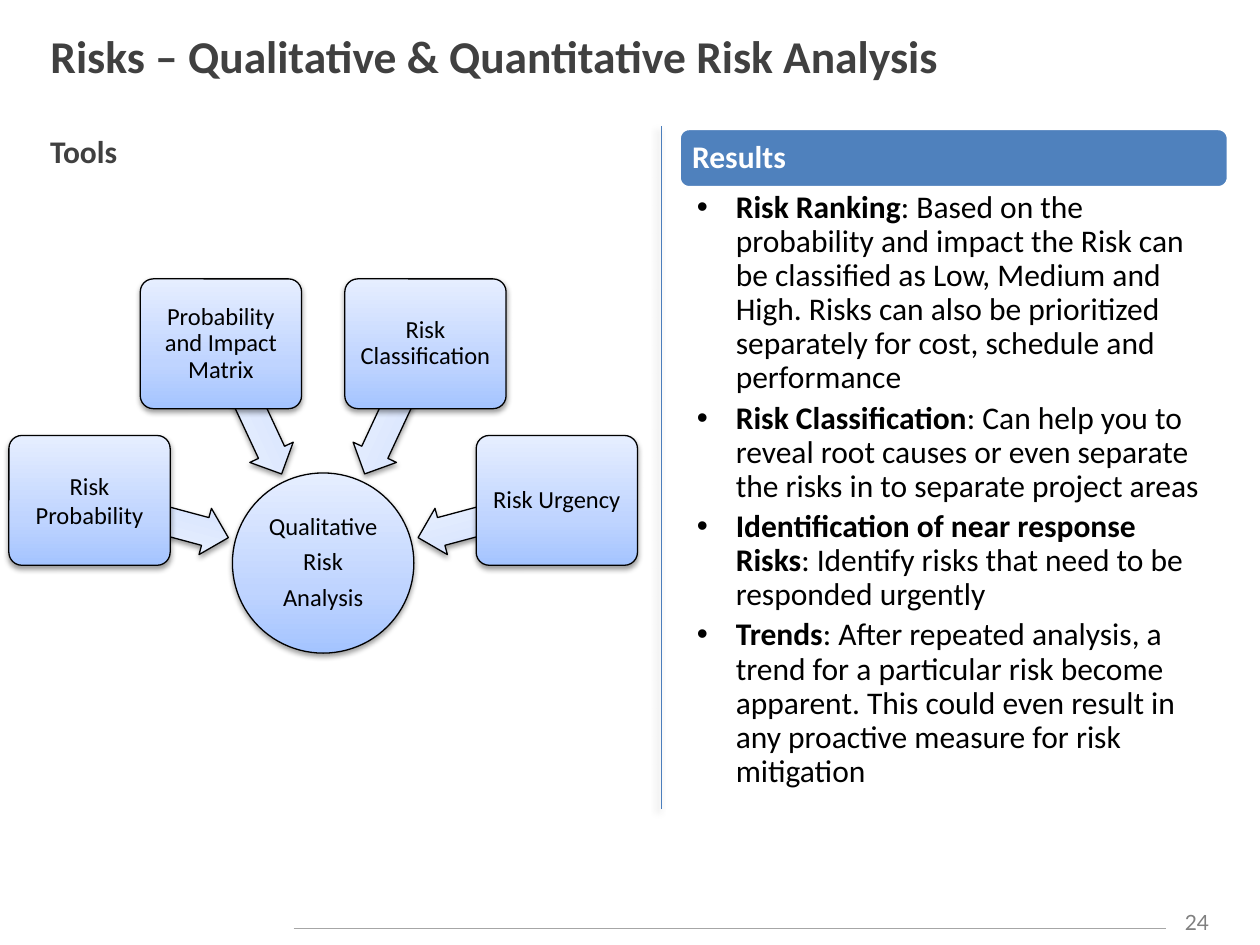
from math import cos, radians, sin

from lxml import etree
from pptx import Presentation, util as u
from pptx.dml.color import RGBColor
from pptx.enum import shapes, text
from pptx.oxml.ns import nsdecls, qn

CELL = u.Inches(0.1)  # the slide is a grid of 100 columns and 75 rows
COLS, ROWS = 100, 75
HEX = {"ink": "000000", "head": "404040", "white": "FFFFFF", "bar": "4F81BD",
       "rule": "4B7EBC", "foot": "A6A6A6", "page": "808080"}
NODE = [(0, "A4C4FF"), (35, "BFD4FF"), (100, "E6EEFF")]
PALE = [(0, "CDDDFE"), (35, "DBE6FE"), (100, "F0F5FF")]
KIND = shapes.MSO_SHAPE
LEFT, MID = text.PP_ALIGN.LEFT, text.PP_ALIGN.CENTER
TOP, CENTER = text.MSO_ANCHOR.TOP, text.MSO_ANCHOR.MIDDLE

TOOLS = [(195, "Risk Probability", 1), (245, "Probability and Impact Matrix", 0.9),
         (295, "Risk Classification", 0.9), (345, "Risk Urgency", 0.9)]
RESULTS = [
    ("Risk Ranking", "Based on the probability and impact the Risk can be classified as "
     "Low, Medium and High. Risks can also be prioritized separately for cost, "
     "schedule and performance"),
    ("Risk Classification", "Can help you to reveal root causes or even separate the "
     "risks in to separate project areas"),
    ("Identification of near response Risks", "Identify risks that need to be "
     "responded urgently"),
    ("Trends", "After repeated analysis, a trend for a particular risk become apparent. "
     "This could even result in any proactive measure for risk mitigation"),
]


def grid(*vals):
    return [round(v * CELL) for v in vals]


def tint(name):
    return RGBColor.from_string(HEX[name])


def style(run, size, color, bold=False, face="Calibri"):
    font = run.font
    font.name, font.size, font.bold = face, u.Pt(size), bold
    font.color.rgb = tint(color)


def frame(shape, pads=(1, 0.5, 1, 0.5), anchor=TOP, wrap=True):
    """Set insets (left, top, right, bottom, in cells) and return the frame."""
    tf = shape.text_frame
    tf.margin_left, tf.margin_top, tf.margin_right, tf.margin_bottom = grid(*pads)
    tf.vertical_anchor, tf.word_wrap = anchor, wrap
    return tf


def write(tf, words, size, color, bold=False, align=LEFT, lines=None, after=None,
          face="Calibri"):
    tf.text = words
    for para in tf.paragraphs:
        para.alignment, para.line_spacing = align, lines
        if after:
            para.space_after = u.Pt(after)
        for run in para.runs:
            style(run, size, color, bold, face)


def shade(props, blur, dist, angle, alpha):
    """Fill the empty effect list with an outer shadow."""
    props.find(qn("a:effectLst")).append(etree.fromstring(
        f'<a:outerShdw {nsdecls("a")} blurRad="{u.Pt(blur)}" dist="{u.Pt(dist)}" '
        f'dir="{angle * 60000}" rotWithShape="0"><a:srgbClr val="000000">'
        f'<a:alpha val="{alpha * 1000}"/></a:srgbClr></a:outerShdw>'))


def rule(slide, ends, color, width):
    line = slide.shapes.add_connector(shapes.MSO_CONNECTOR.STRAIGHT, *grid(*ends))
    line.line.color.rgb, line.line.width = tint(color), u.Pt(width)
    etree.SubElement(line._element.spPr, qn("a:effectLst"))
    return line


def glossy(slide, kind, mid, size, stops, adjust=()):
    """Add a gradient shape with a shadow, centred on mid."""
    (x, y), (w, h) = mid, size
    shape = slide.shapes.add_shape(kind, *grid(x - w / 2, y - h / 2, w, h))
    for i, val in enumerate(adjust):
        shape.adjustments[i] = val
    shape.fill.gradient()
    shape.fill.gradient_angle = 90
    props = shape._element.spPr
    ramp = props.find(qn("a:gradFill")).find(qn("a:gsLst"))
    for old in list(ramp):
        ramp.remove(old)
    for pos, color in stops:
        stop = etree.SubElement(ramp, qn("a:gs"), pos=str(pos * 1000))
        etree.SubElement(stop, qn("a:srgbClr"), val=color)
    shape.line.color.rgb, shape.line.width = tint("ink"), u.Pt(0.75)
    shape.shadow.inherit = False
    shade(props, 3.1, 1.6, 90, 38)
    return shape


def heading(slide, box):
    title = slide.shapes.title
    title.left, title.top, title.width, title.height = grid(*box)
    write(frame(title, anchor=CENTER), "Risks – Qualitative & Quantitative Risk Analysis",
          26, "head", True)


def tools(slide, box):
    """Draw the hub low in the box, with the tools on an arc around it."""
    x, y, w, h = box
    label = slide.shapes.add_textbox(*grid(x + 2.3, y, 7.4, 4))
    write(frame(label, wrap=False), "Tools", 18, "head", True)
    hub = x + w / 2, y + h * 0.64

    def polar(angle, far):
        return hub[0] + far * cos(radians(angle)), hub[1] + far * sin(radians(angle))

    core = glossy(slide, KIND.OVAL, hub, (14.4, 14.3), NODE)
    write(frame(core, [0.1] * 4, CENTER), "Qualitative\nRisk\nAnalysis", 14, "ink",
          align=MID, lines=0.9, after=4.9)
    for angle, words, lines in TOOLS:
        arrow = glossy(slide, KIND.LEFT_ARROW, polar(angle, 13.5), (11.4, 3.8), PALE,
                       (0.6, 0.5))
        arrow.rotation = angle
        card = glossy(slide, KIND.ROUNDED_RECTANGLE, polar(angle, 19.2), (12.8, 10.3),
                      NODE, (0.1,))
        write(frame(card, [0.3] * 4, CENTER), words, 14, "ink", align=MID,
              lines=lines, after=4.9)


def results(slide, box):
    x, y, w, h = box
    tall = 4.7
    bar = slide.shapes.add_shape(KIND.ROUNDED_RECTANGLE, *grid(x, y, w, tall))
    bar.adjustments[0] = 0.17
    bar.fill.solid()
    bar.fill.fore_color.rgb = tint("bar")
    bar.line.color.rgb, bar.line.width = tint("white"), u.Pt(2)
    bar.shadow.inherit = False
    write(frame(bar, (0.8, 0.8, 0.8, 0.8), CENTER), "Results", 18, "white", True,
          lines=0.9, after=6.3)
    body = slide.shapes.add_textbox(*grid(x, y + tall, w, h - tall))
    tf = frame(body, (1.4, 0.3, 1.8, 0.3))
    for i, (term, words) in enumerate(RESULTS):
        para = tf.add_paragraph() if i else tf.paragraphs[0]
        props = para._p.get_or_add_pPr()
        hang = grid(3.1)[0]
        props.set("marL", str(hang))
        props.set("indent", str(-hang))
        etree.SubElement(props, qn("a:buFont"), typeface="Arial")
        etree.SubElement(props, qn("a:buChar"), char="•")
        para.line_spacing, para.space_after = 0.9, u.Pt(3.6)
        for part, bold in ((term, True), (": " + words, False)):
            run = para.add_run()
            run.text = part
            style(run, 18, "ink", bold)


def footer(slide, box):
    x, y, w, h = box
    page = 5
    rule(slide, (x, y + 2, x + w - page, y + 2), "foot", 0.75)
    label = slide.shapes.add_textbox(*grid(x + w - page, y, page, h))
    write(frame(label), "24", 12, "page", align=MID, face="Lato")


def main():
    deck = Presentation()
    deck.slide_width, deck.slide_height = grid(COLS, ROWS)
    slide = deck.slides.add_slide(deck.slide_layouts[5])
    footer(slide, (23.3, 71.7, 74.2, 3))
    heading(slide, (3, 1.2, 93.6, 6.3))
    split = rule(slide, (52.5, 10, 52.5, 64.2), "rule", 0.25)
    shade(split._element.spPr, 4, 3, 135, 40)
    results(slide, (53.9, 10.2, 43.6, 54.7))
    tools(slide, (0.7, 10, 49.9, 54.2))
    deck.save("out.pptx")


if __name__ == "__main__":
    main()
